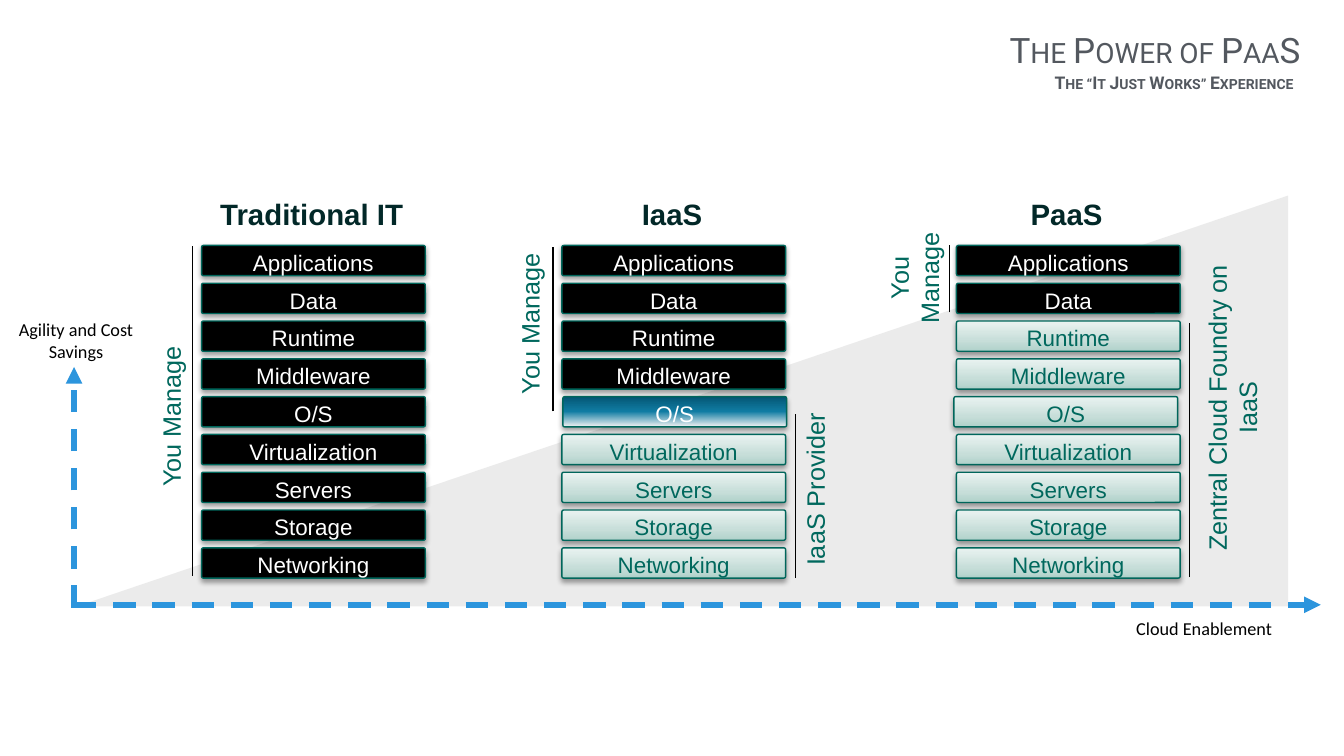
from pptx import Presentation
from pptx.dml.color import RGBColor
from pptx.enum.dml import MSO_LINE_DASH_STYLE as DASH
from pptx.enum.shapes import MSO_CONNECTOR, MSO_SHAPE
from pptx.enum.text import MSO_ANCHOR, MSO_AUTO_SIZE, PP_ALIGN
from pptx.oxml import parse_xml
from pptx.oxml.ns import nsdecls, qn
from pptx.util import Inches, Pt

BLACK = RGBColor(0x00, 0x00, 0x00)
WHITE = RGBColor(0xFF, 0xFF, 0xFF)
GREY = RGBColor(0xBF, 0xBF, 0xBF)
SLATE = RGBColor(0x53, 0x58, 0x5F)
BLUE = RGBColor(0x2C, 0x95, 0xDD)
INK = RGBColor(0x02, 0x28, 0x28)
TEAL = RGBColor(0x00, 0x68, 0x5D)
BORDER = RGBColor(0x00, 0x66, 0x5B)

# Gradients run from the bottom up: (percent, colour)
MINT_STOPS = [(0, "AFD1CA"), (35, "C7DED9"), (100, "EAF3F1")]
BLUE_STOPS = [(0, "F2F2F2"), (51, "107CA3"), (100, "045674")]

# Bar styles: (gradient or None for black, text colour)
STYLES = {"you": (None, WHITE), "shared": (BLUE_STOPS, WHITE), "provider": (MINT_STOPS, TEAL)}

LAYERS = ["Applications", "Data", "Runtime", "Middleware", "O/S",
          "Virtualization", "Servers", "Storage", "Networking"]

# Notes: (text, left, top, width, height); rules: (x, bottom, top)
COLUMNS = [
    {"title": "Traditional IT", "left": 4, "os_shift": 0,
     "owners": ["you"] * 9,
     "notes": [("You Manage", 1.84, 7.85, 3.07, 0.83)],
     "rules": [(3.82, 11.42, 4.88)]},
    {"title": "IaaS", "left": 11.15, "os_shift": 0.02,
     "owners": ["you"] * 4 + ["shared"] + ["provider"] * 4,
     "notes": [("You Manage", 8.96, 6.01, 3.07, 0.83),
               ("IaaS Provider", 14.5, 9.3, 3.31, 0.83)],
     "rules": [(10.97, 8.16, 4.91), (15.79, 11.47, 8.22)]},
    {"title": "PaaS", "left": 18.98, "os_shift": -0.05,
     "owners": ["you"] * 2 + ["provider"] * 7,
     "notes": [("You\nManage", 17.07, 4.81, 2.09, 1.42),
               ("Zentral Cloud Foundry on IaaS", 20.6, 7.68, 7.06, 0.83)],
     "rules": [(18.84, 6.2, 4.86), (23.6, 11.45, 6.4)]},
]

BAR_TOP, BAR_STEP, BAR_WIDTH, BAR_HEIGHT = 4.87, 0.75, 4.44, 0.6


def style_text(frame, text, size, font, color, bold=False, small_caps=False):
    frame.text = text
    for para in frame.paragraphs:
        para.alignment = PP_ALIGN.CENTER
        for span in para.runs:
            span.font.size = Pt(size)
            span.font.name = font
            span.font.bold = bold
            span.font.color.rgb = color
            if small_caps:
                span.font._element.set("cap", "small")


def add_label(shapes, text, place, size, font, color, inset=0.13, wrap=True, **look):
    box = shapes.add_textbox(*map(Inches, place))
    frame = box.text_frame
    frame.word_wrap = wrap
    frame.auto_size = MSO_AUTO_SIZE.SHAPE_TO_FIT_TEXT
    frame.margin_left = frame.margin_right = Inches(inset)
    frame.margin_top = frame.margin_bottom = Inches(inset)
    style_text(frame, text, size, font, color, **look)
    return box


def add_line(shapes, x1, y1, x2, y2, color, width):
    line = shapes.add_connector(MSO_CONNECTOR.STRAIGHT, *map(Inches, (x1, y1, x2, y2)))
    line.line.color.rgb = color
    line.line.width = Pt(width)
    line._element.spPr.append(parse_xml(f"<a:effectLst {nsdecls('a')}/>"))
    return line


def add_axis(shapes, *ends):
    axis = add_line(shapes, *ends, BLUE, 8)
    axis.line.dash_style = DASH.DASH
    axis.line._get_or_add_ln().append(
        parse_xml(f'<a:tailEnd {nsdecls("a")} type="triangle"/>'))


def fill_gradient(shape, stops):
    shape.fill.gradient()
    shape.fill.gradient_angle = 90
    stop_list = shape._element.spPr.find(".//" + qn("a:gsLst"))
    for stop in list(stop_list):
        stop_list.remove(stop)
    for percent, color in stops:
        stop_list.append(parse_xml(
            f'<a:gs {nsdecls("a")} pos="{percent * 1000}"><a:srgbClr val="{color}"/></a:gs>'))


def add_bar(shapes, text, left, top, owner):
    stops, color = STYLES[owner]
    bar = shapes.add_shape(MSO_SHAPE.ROUNDED_RECTANGLE,
                           *map(Inches, (left, top, BAR_WIDTH, BAR_HEIGHT)))
    bar.adjustments[0] = 0.06
    if stops:
        fill_gradient(bar, stops)
    else:
        bar.fill.solid()
        bar.fill.fore_color.rgb = BLACK
    bar.line.color.rgb = BORDER
    bar.line.width = Pt(2)
    bar.shadow.inherit = False
    bar._element.spPr.find(qn("a:effectLst")).append(parse_xml(
        f'<a:outerShdw {nsdecls("a")} blurRad="{Pt(8)}" dist="{Pt(4)}" dir="5400000" '
        'rotWithShape="0"><a:srgbClr val="000000"><a:alpha val="38000"/></a:srgbClr>'
        '</a:outerShdw>'))
    frame = bar.text_frame
    frame.vertical_anchor = MSO_ANCHOR.TOP
    frame.margin_top, frame.margin_bottom = Inches(0.16), 0
    style_text(frame, text, 32, "Arial", color)
    frame.paragraphs[0].line_spacing = 0.8


def add_column(page, column):
    shapes = page.shapes.add_group_shape().shapes
    left = column["left"]
    add_label(shapes, column["title"], (left - 0.91, 3.77, 6.19, 0.9), 42, "Arial", INK, bold=True)
    for row, (layer, owner) in enumerate(zip(LAYERS, column["owners"])):
        shift = column["os_shift"] if layer == "O/S" else 0
        add_bar(shapes, layer, left + shift, BAR_TOP + row * BAR_STEP, owner)
    for text, *place in column["notes"]:
        note = add_label(shapes, text, place, 36, "Arial", TEAL, wrap=False)
        note.rotation = 270
    for x, bottom, top in column["rules"]:
        add_line(shapes, x, bottom, x, top, BLACK, 2)


def main():
    deck = Presentation()
    deck.slide_width, deck.slide_height = Inches(26.67), Inches(15)
    page = deck.slides.add_slide(deck.slide_layouts[6])
    shapes = page.shapes

    # Rising wedge behind the columns
    builder = shapes.build_freeform(Inches(25.56), Inches(12.03))
    builder.add_line_segments([(Inches(1.53), Inches(12.03)), (Inches(25.56), Inches(3.88))])
    wedge = builder.convert_to_shape()
    wedge.fill.solid()
    wedge.fill.fore_color.rgb = GREY
    wedge._element.spPr.find(".//" + qn("a:srgbClr")).append(
        parse_xml(f'<a:alpha {nsdecls("a")} val="30000"/>'))
    wedge.line.fill.background()
    wedge.shadow.inherit = False

    # Axes and their labels
    add_axis(shapes, 1.47, 12.06, 1.47, 7.28)
    add_axis(shapes, 1.47, 12, 26.21, 12)
    add_label(shapes, "Agility and Cost Savings", (0.18, 6.26, 2.66, 1),
              26, "Calibri", BLACK, inset=0.06)
    add_label(shapes, "Cloud Enablement", (21.56, 12.19, 4.67, 0.56),
              26, "Calibri", BLACK, inset=0.06)

    # Service stacks
    for column in COLUMNS:
        add_column(page, column)

    # Title and subtitle
    title = add_label(shapes, "The Power of PaaS", (19.81, 0.51, 6.22, 0.94), 50, "Roboto",
                      SLATE, inset=0.06, wrap=False, small_caps=True)
    title.text_frame.vertical_anchor = MSO_ANCHOR.MIDDLE
    add_label(shapes, "The “It Just Works” Experience", (20.58, 1.36, 5.44, 0.53), 25, "Roboto",
              SLATE, inset=0.06, wrap=False, bold=True, small_caps=True)

    deck.save("out.pptx")


if __name__ == "__main__":
    main()
